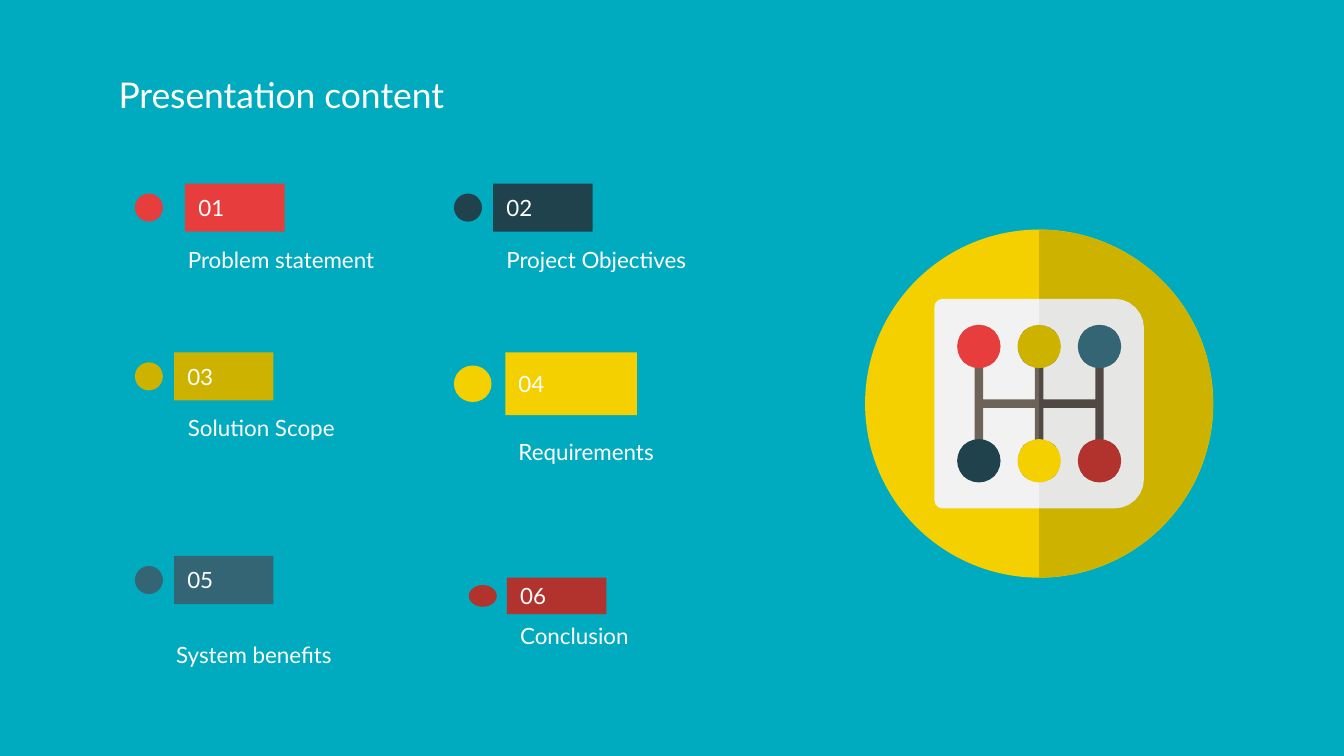
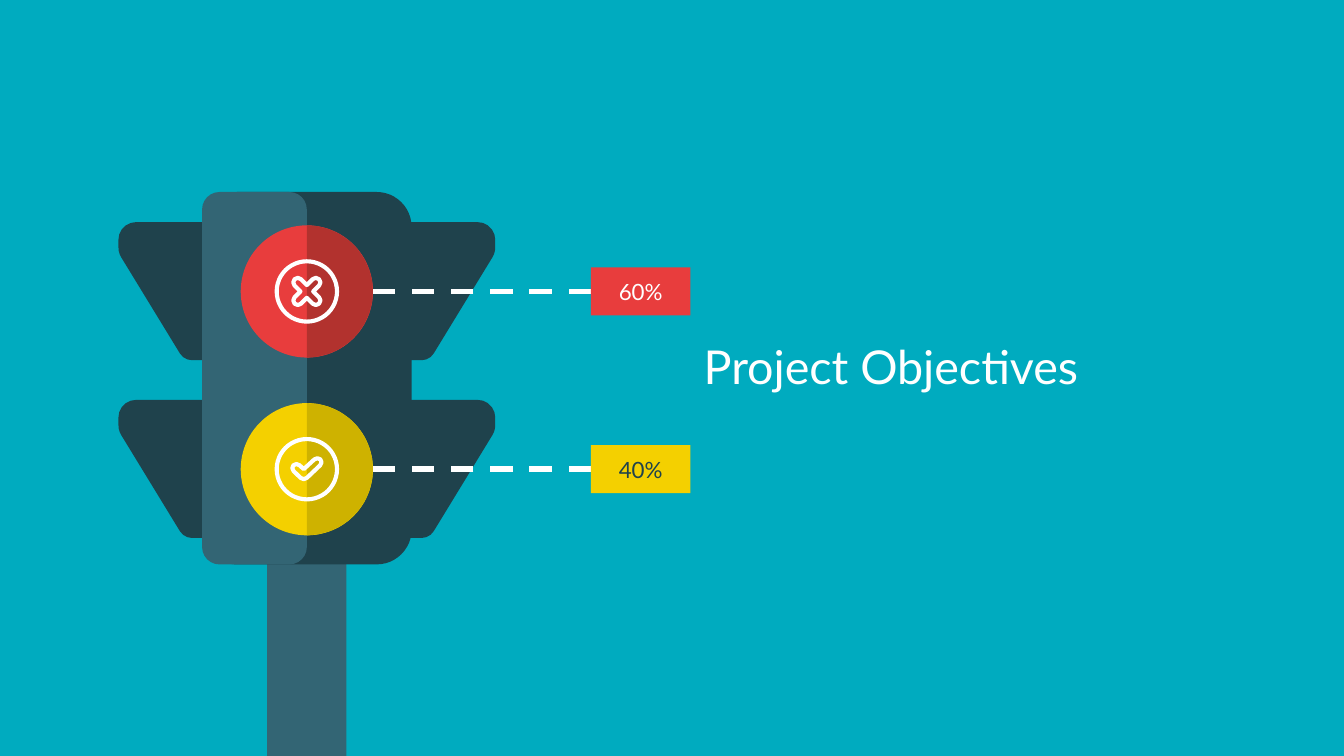
"""Build a contents slide and a traffic light slide."""
from dataclasses import dataclass
from itertools import product
from math import atan2, sin

from lxml.etree import SubElement
from pptx import Presentation
from pptx.dml.color import RGBColor
from pptx.enum.dml import MSO_LINE
from pptx.enum.shapes import MSO_CONNECTOR, MSO_SHAPE
from pptx.enum.text import MSO_ANCHOR, MSO_AUTO_SIZE, PP_ALIGN
from pptx.oxml.ns import qn
from pptx.presentation import Presentation as Deck
from pptx.shapes.autoshape import Shape
from pptx.slide import Slide
from pptx.util import Cm, Pt

FONT = "Lato"
COLOURS = {
    "background": "00ABBF",
    "white": "FFFFFF",
    "red": "E83D3D",
    "dark red": "B2322E",
    "yellow": "F4D000",
    "gold": "CEB200",
    "navy": "1F424C",
    "slate": "336574",
    "panel": "F2F2F2",
    "panel shade": "E6E6E5",
    "brown": "6E6358",
    "dark brown": "504843",
}
BADGE_WIDTH, BADGE_HEIGHT = 1.88, 0.91


@dataclass(frozen=True)
class Box:
    """A rectangle in centimetres."""

    left: float
    top: float
    width: float = BADGE_WIDTH
    height: float = BADGE_HEIGHT

    def lengths(self) -> tuple[Cm, Cm, Cm, Cm]:
        """Return the four lengths in the order python-pptx takes them."""
        return Cm(self.left), Cm(self.top), Cm(self.width), Cm(self.height)


@dataclass(frozen=True)
class Corner:
    """A corner and the distance from it at which its rounding starts."""

    x: float
    y: float
    reach: float = 0

    def moved(self, x: float, y: float, side: int = 1) -> "Corner":
        """Return the corner shifted, and mirrored when side is -1."""
        return Corner(x + side * self.x, y + self.y, self.reach)


@dataclass(frozen=True)
class Entry:
    """One numbered line of the contents."""

    number: str
    label: str
    colour: str
    badge: Box
    dot_left: float
    caption: Box
    dot_width: float = 0.53
    dot_height: float = 0.53


@dataclass(frozen=True)
class Lamp:
    """One lamp of the traffic light and its share."""

    middle: float
    colour: str
    shade: str
    share: str
    share_colour: str
    icon: tuple[Corner, ...]


ENTRIES = (
    Entry("01", "Problem statement", "red", Box(3.5, 3.47), 2.55, Box(3.3, 4.65, 4.37, 0.53)),
    Entry("02", "Project Objectives", "navy", Box(9.32, 3.47), 8.58, Box(9.32, 4.65, 4.37, 0.53)),
    Entry("03", "Solution Scope", "gold", Box(3.29, 6.66), 2.55, Box(3.3, 7.82, 4.37, 0.53)),
    Entry("04", "Requirements", "yellow", Box(9.55, 6.66, 2.49, 1.19), 8.58,
          Box(9.55, 8.19, 5.79, 0.69), 0.71, 0.69),
    Entry("05", "System benefits", "slate", Box(3.29, 10.51), 2.55, Box(3.08, 12.11, 4.37, 0.53)),
    Entry("06", "Conclusion", "dark red", Box(9.58, 10.92, height=0.69), 8.86,
          Box(9.58, 11.81, 4.37, 0.41), 0.53, 0.41),
)
CROSS_ARM = (Corner(0, -0.12), Corner(0.17, -0.29, 0.08), Corner(0.29, -0.17, 0.08))
CROSS = CROSS_ARM + tuple(
    Corner(x * corner.x + y * corner.y, x * corner.y - y * corner.x, corner.reach)
    for x, y in ((0, -1), (-1, 0), (0, 1))
    for corner in CROSS_ARM
)
CHECK = (
    Corner(-0.2, -0.13, 0.08), Corner(-0.06, 0), Corner(0.2, -0.24, 0.08),
    Corner(0.31, -0.13, 0.08), Corner(-0.06, 0.22, 0.08), Corner(-0.31, -0.02, 0.08),
)
VISOR = (
    Corner(1.77, -1.31), Corner(3.56, -1.31, 0.33), Corner(3.56, -0.73, 0.1),
    Corner(2.32, 1.3, 0.15), Corner(1.77, 1.3),
)
LAMPS = (
    Lamp(5.51, "red", "dark red", "60%", "white", CROSS),
    Lamp(8.87, "yellow", "gold", "40%", "navy", CHECK),
)
COLUMN_GAP, ROW_GAP = 1.14, 1.08
TRACK_END = 1.46
TRACK_STEM = (
    Corner(-0.08, -0.08), Corner(-0.08, -0.7), Corner(-0.38, -0.7, 0.3),
    Corner(-0.38, -TRACK_END, 0.3), Corner(0.38, -TRACK_END, 0.3), Corner(0.38, -0.7, 0.3),
    Corner(0.08, -0.7), Corner(0.08, -0.08),
)
TRACK_TOP = [corner.moved(column * COLUMN_GAP, 0) for column in (-1, 0, 1) for corner in TRACK_STEM]
TRACK = TRACK_TOP + [Corner(-corner.x, -corner.y, corner.reach) for corner in TRACK_TOP]
TRACK_HALF = [Corner(0, -TRACK_END), *(corner for corner in TRACK if corner.x > 0),
              Corner(0, TRACK_END)]


def rgb(colour: str) -> RGBColor:
    """Look up a named colour."""
    return RGBColor.from_string(COLOURS[colour])


def write(shape: Shape, text: str, *, size: float = 12, colour: str = "white",
          align: PP_ALIGN = PP_ALIGN.LEFT, anchor: MSO_ANCHOR = MSO_ANCHOR.MIDDLE) -> None:
    """Put formatted text into a shape."""
    frame = shape.text_frame
    frame.word_wrap = True
    frame.auto_size = MSO_AUTO_SIZE.NONE
    frame.vertical_anchor = anchor
    frame.margin_left = frame.margin_right = frame.margin_top = frame.margin_bottom = Cm(0.25)
    paragraph = frame.paragraphs[0]
    paragraph.alignment = align
    run = paragraph.add_run()
    run.text = text
    run.font.name = FONT
    run.font.size = Pt(size)
    run.font.color.rgb = rgb(colour)


def paint(shape: Shape, fill: str | None, line: str | None = None) -> Shape:
    """Set the fill and line of a shape and drop its shadow."""
    shape.shadow.inherit = False
    if fill:
        shape.fill.solid()
        shape.fill.fore_color.rgb = rgb(fill)
    else:
        shape.fill.background()
    if line:
        shape.line.color.rgb = rgb(line)
        shape.line.width = Pt(2.2)
    else:
        shape.line.fill.background()
    return shape


def add_preset(slide: Slide, kind: MSO_SHAPE, box: Box, fill: str | None,
               line: str | None = None) -> Shape:
    """Add a painted preset shape."""
    return paint(slide.shapes.add_shape(kind, *box.lengths()), fill, line)


def add_circle(slide: Slide, x: float, y: float, radius: float,
               fill: str | None, line: str | None = None) -> None:
    """Add a circle around a centre."""
    box = Box(x - radius, y - radius, 2 * radius, 2 * radius)
    add_preset(slide, MSO_SHAPE.OVAL, box, fill, line)


def round_corner(before: Corner, corner: Corner, after: Corner) -> list[tuple[Cm, Cm]]:
    """Return the points of the circular arc that replaces a corner."""
    if not corner.reach:
        return [(Cm(corner.x), Cm(corner.y))]
    (ax, ay), (bx, by) = [(end.x - corner.x, end.y - corner.y) for end in (before, after)]
    weight = sin(abs(atan2(ax * by - ay * bx, ax * bx + ay * by)) / 2)
    a_scale = corner.reach / (ax * ax + ay * ay) ** 0.5
    b_scale = corner.reach / (bx * bx + by * by) ** 0.5
    steps = max(2, round(8 * corner.reach ** 0.5))
    points = []
    for step in range(steps + 1):
        t = step / steps
        start, end = (1 - t) ** 2 * a_scale, t * t * b_scale
        total = (1 - t) ** 2 + 2 * t * (1 - t) * weight + t * t
        points.append((Cm(corner.x + (start * ax + end * bx) / total),
                       Cm(corner.y + (start * ay + end * by) / total)))
    return points


def add_outline(slide: Slide, x: float, y: float, corners: list[Corner] | tuple[Corner, ...],
                fill: str | None, line: str | None = None, side: int = 1) -> None:
    """Add a closed outline with rounded corners around a centre."""
    placed = [corner.moved(x, y, side) for corner in corners]
    points = []
    for index, corner in enumerate(placed):
        points += round_corner(placed[index - 1], corner, placed[(index + 1) % len(placed)])
    builder = slide.shapes.build_freeform(*points[0], scale=1.0)
    builder.add_line_segments(points[1:], close=True)
    paint(builder.convert_to_shape(), fill, line)


def add_half(slide: Slide, x: float, y: float, radius: float, reach: float, fill: str) -> None:
    """Add the right half of a rounded square, or of a disc when reach equals radius."""
    corners = (Corner(0, -radius), Corner(radius, -radius, reach),
               Corner(radius, radius, reach), Corner(0, radius))
    add_outline(slide, x, y, corners, fill)


def add_slide(presentation: Deck, title: str, box: Box, size: float) -> Slide:
    """Add a slide with its title in place."""
    slide = presentation.slides.add_slide(presentation.slide_layouts[5])
    shape = slide.shapes.title
    shape.left, shape.top, shape.width, shape.height = box.lengths()
    write(shape, title, size=size, anchor=MSO_ANCHOR.TOP)
    return slide


def add_gear_shift(slide: Slide, x: float, y: float) -> None:
    """Draw the gear shift emblem around a centre."""
    radius, panel = 3.29, 1.98
    add_circle(slide, x, y, radius, "yellow")
    panel_corners = [Corner(left * panel, top * panel, 0.15)
                     for left, top in ((-1, -1), (1, -1), (1, 1), (-1, 1))]
    add_outline(slide, x, y, panel_corners, "panel")
    add_outline(slide, x, y, TRACK, "brown")
    add_half(slide, x, y, radius, radius, "gold")
    add_half(slide, x, y, panel, 0.55, "panel shade")
    add_outline(slide, x, y, TRACK_HALF, "dark brown")
    knobs = ("red", "navy", "gold", "yellow", "slate", "dark red")
    for (column, row), colour in zip(product((-1, 0, 1), (-1, 1)), knobs):
        add_circle(slide, x + column * COLUMN_GAP, y + row * ROW_GAP, 0.41, colour)


def add_entry(slide: Slide, entry: Entry) -> None:
    """Draw the caption, badge and dot of one contents line."""
    write(slide.shapes.add_textbox(*entry.caption.lengths()), entry.label)
    write(add_preset(slide, MSO_SHAPE.RECTANGLE, entry.badge, entry.colour), entry.number)
    dot_top = entry.badge.top + (entry.badge.height - entry.dot_height) / 2
    dot = Box(entry.dot_left, dot_top, entry.dot_width, entry.dot_height)
    add_preset(slide, MSO_SHAPE.OVAL, dot, entry.colour)


def add_lamp(slide: Slide, lamp: Lamp, x: float) -> None:
    """Draw a lamp with its icon, dashed line and share."""
    radius, badge_left = 1.25, 11.17
    add_circle(slide, x, lamp.middle, radius, lamp.colour)
    add_half(slide, x, lamp.middle, radius, radius, lamp.shade)
    add_circle(slide, x, lamp.middle, 0.57, None, "white")
    add_outline(slide, x, lamp.middle, lamp.icon, None, "white")
    connector = slide.shapes.add_connector(
        MSO_CONNECTOR.STRAIGHT, Cm(badge_left), Cm(lamp.middle), Cm(x + radius), Cm(lamp.middle))
    connector.line.color.rgb = rgb("white")
    connector.line.width = Pt(3)
    connector.line.dash_style = MSO_LINE.DASH
    SubElement(connector._element.spPr, qn("a:effectLst"))
    badge = add_preset(slide, MSO_SHAPE.RECTANGLE,
                       Box(badge_left, lamp.middle - BADGE_HEIGHT / 2), lamp.colour)
    write(badge, lamp.share, colour=lamp.share_colour, align=PP_ALIGN.CENTER)


def add_traffic_light(slide: Slide, x: float) -> None:
    """Draw the traffic light around a vertical axis."""
    half_width, top, height = 1.98, 3.63, 7.04
    add_preset(slide, MSO_SHAPE.RECTANGLE, Box(x - 0.75, 10.49, 1.5, 3.8), "slate")
    for lamp, side in product(LAMPS, (1, -1)):
        add_outline(slide, x, lamp.middle, VISOR, "navy", side=side)
    for width, colour in ((2 * half_width, "navy"), (half_width, "slate")):
        add_preset(slide, MSO_SHAPE.ROUNDED_RECTANGLE,
                   Box(x - half_width, top, width, height), colour)
    for lamp in LAMPS:
        add_lamp(slide, lamp, x)


def main() -> None:
    """Build and save the presentation."""
    presentation = Presentation()
    presentation.slide_width, presentation.slide_height = Cm(25.4), Cm(14.29)
    background = presentation.slide_master.background.fill
    background.solid()
    background.fore_color.rgb = rgb("background")
    contents = add_slide(presentation, "Presentation content", Box(1.99, 1.13, 21.44, 1.6), 19)
    add_gear_shift(contents, 19.64, 7.63)
    for entry in ENTRIES:
        add_entry(contents, entry)
    objectives = add_slide(presentation, "Project Objectives", Box(13.05, 6.13, 14.05, 1.6), 25)
    add_traffic_light(objectives, 5.8)
    presentation.save("out.pptx")


if __name__ == "__main__":
    main()
